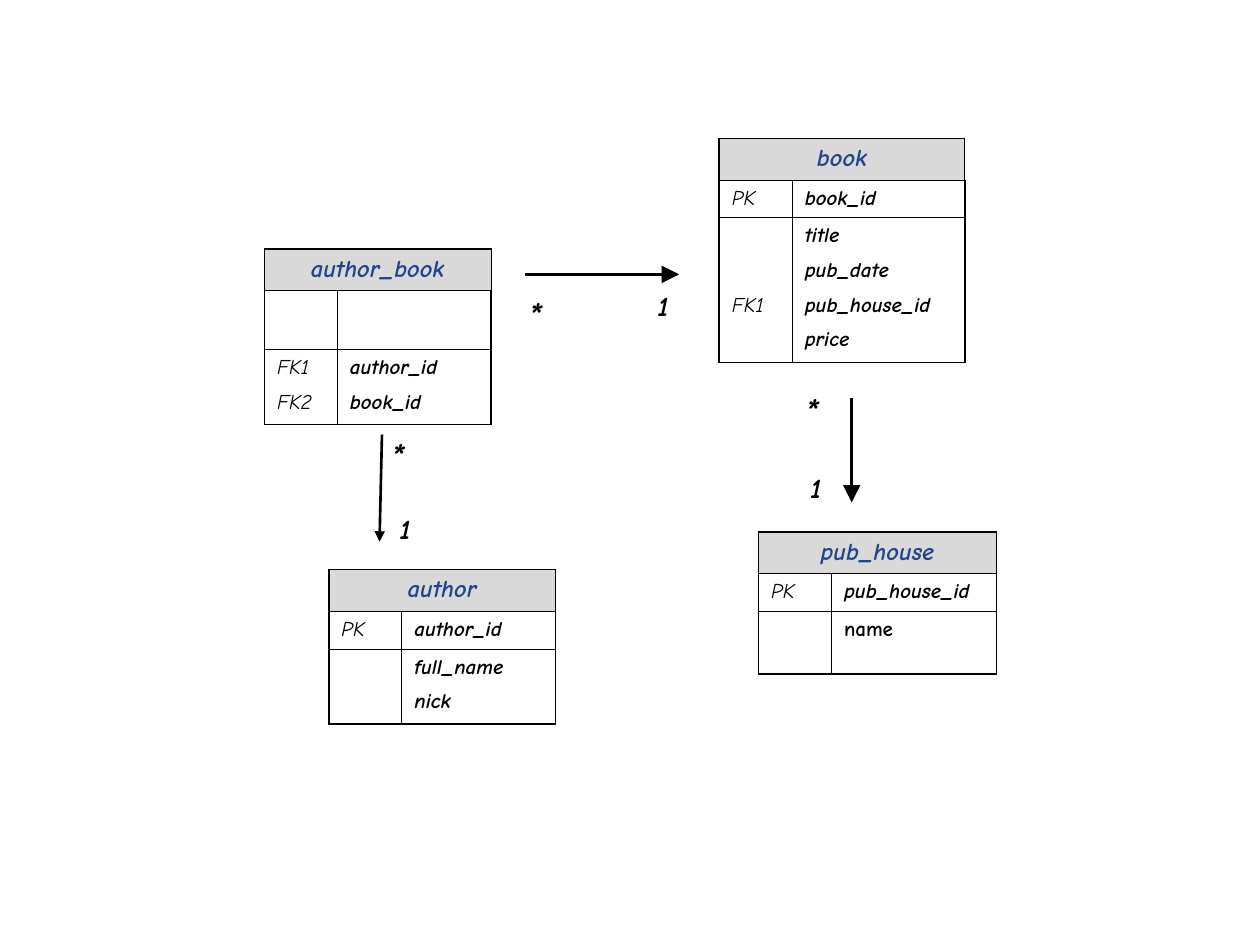
from dataclasses import dataclass

from lxml import etree
from pptx import Presentation
from pptx import util as u
from pptx.dml.color import RGBColor
from pptx.enum import shapes, text
from pptx.oxml import ns

BLACK = RGBColor(0x00, 0x00, 0x00)
BLUE = RGBColor(0x22, 0x45, 0x8B)
GREY = RGBColor(0xD9, 0xD9, 0xD9)
FONT = "Comic Neue"
KEY_WIDTH = 1.47
HEADER_HEIGHT = 0.84
OUTER, INNER = 1.08, 0.45
CELL_MARGIN = 0.13
LINE_PITCH = 0.7


@dataclass(frozen=True)
class Entity:
    """A database table; lengths in centimetres."""
    name: str
    left: float
    top: float
    field_width: float
    primary_height: float
    fields_height: float
    primary_key: str
    fields: tuple[str, ...]
    foreign_keys: tuple[str, ...] = ()
    first_foreign_row: int = 0
    italic_fields: bool = True


@dataclass(frozen=True)
class Arrow:
    start: tuple[float, float]
    end: tuple[float, float]
    head: str


@dataclass(frozen=True)
class Multiplicity:
    symbol: str
    left: float
    top: float


ENTITIES = [
    Entity("author_book", 5.33, 5.02, 3.1, 1.18, 1.52, "",
           ("author_id", "book_id"), ("FK1", "FK2")),
    Entity("book", 14.5, 2.79, 3.48, 0.76, 2.92, "book_id",
           ("title", "pub_date", "pub_house_id", "price"), ("FK1",), 2),
    Entity("author", 6.63, 11.48, 3.1, 0.76, 1.52, "author_id",
           ("full_name", "nick")),
    Entity("pub_house", 15.29, 10.72, 3.33, 0.76, 1.27, "pub_house_id",
           ("name",), italic_fields=False),
]
ARROWS = [
    Arrow((7.7, 8.76), (7.65, 10.92), "med"),
    Arrow((10.59, 5.53), (13.69, 5.53), "lg"),
    Arrow((17.17, 8.03), (17.17, 10.13), "lg"),
]
MULTIPLICITIES = [
    Multiplicity("*", 9.91, 5.79),
    Multiplicity("1", 13.0, 5.69),
    Multiplicity("*", 7.14, 8.64),
    Multiplicity("*", 15.49, 7.72),
    Multiplicity("1", 7.8, 10.19),
    Multiplicity("1", 16.08, 9.37),
]


def format_font(paragraph, size: float, color: RGBColor = BLACK,
                bold: bool = True, italic: bool = True) -> None:
    font = paragraph.font
    font.name = FONT
    font.size = u.Pt(size)
    font.bold = bold
    font.italic = italic
    font.color.rgb = color


def set_borders(cell, row: int, column: int) -> None:
    """Draw a thick outer frame and thin inner rules on a 3 by 2 grid."""
    properties = cell._tc.get_or_add_tcPr()
    outer_sides = {"L": column == 0, "R": column == 1, "T": row == 0, "B": row == 2}
    for side, is_outer in outer_sides.items():
        width = u.Pt(OUTER if is_outer else INNER)
        line = etree.SubElement(properties, ns.qn(f"a:ln{side}"), w=str(width))
        fill = etree.SubElement(line, ns.qn("a:solidFill"))
        etree.SubElement(fill, ns.qn("a:srgbClr"), val=str(BLACK))


def write_lines(cell, lines: tuple[str, ...], bold: bool = True,
                italic: bool = True) -> None:
    for index, line in enumerate(lines):
        frame = cell.text_frame
        paragraph = frame.add_paragraph() if index else frame.paragraphs[0]
        paragraph.text = line
        if index:
            paragraph.space_before = u.Pt(3)
        if len(lines) > 1:
            paragraph.space_after = u.Pt(3)
        format_font(paragraph, 12, bold=bold, italic=italic)


def draw_entity(slide, entity: Entity) -> None:
    heights = (HEADER_HEIGHT, entity.primary_height, entity.fields_height)
    widths = (KEY_WIDTH, entity.field_width)
    table = slide.shapes.add_table(
        3, 2, u.Cm(entity.left), u.Cm(entity.top),
        u.Cm(sum(widths)), u.Cm(sum(heights))).table
    table.first_row = table.horz_banding = False
    for column, width in zip(table.columns, widths):
        column.width = u.Cm(width)
    for row_index, height in enumerate(heights):
        table.rows[row_index].height = u.Cm(height)
        for column_index in range(2):
            cell = table.cell(row_index, column_index)
            set_borders(cell, row_index, column_index)
            if row_index == 0:
                cell.fill.solid()
                cell.fill.fore_color.rgb = GREY
            else:
                cell.fill.background()

    header = table.cell(0, 0)
    header.merge(table.cell(0, 1))
    title = header.text_frame.paragraphs[0]
    title.text = entity.name
    title.alignment = text.PP_ALIGN.CENTER
    format_font(title, 14, BLUE)

    if entity.primary_key:
        write_lines(table.cell(1, 0), ("PK",), bold=False)
        write_lines(table.cell(1, 1), (entity.primary_key,))
    key_cell = table.cell(2, 0)
    key_cell.margin_top = u.Cm(CELL_MARGIN + entity.first_foreign_row * LINE_PITCH)
    write_lines(key_cell, entity.foreign_keys, bold=False)
    write_lines(table.cell(2, 1), entity.fields, italic=entity.italic_fields)


def draw_arrow(slide, arrow: Arrow) -> None:
    connector = slide.shapes.add_connector(
        shapes.MSO_CONNECTOR.STRAIGHT, *map(u.Cm, arrow.start + arrow.end))
    connector.line.color.rgb = BLACK
    connector.line.width = u.Pt(1.5)
    etree.SubElement(connector.line._get_or_add_ln(), ns.qn("a:tailEnd"),
                     type="triangle", w=arrow.head, len=arrow.head)
    etree.SubElement(connector._element.spPr, ns.qn("a:effectLst"))


def draw_multiplicity(slide, label: Multiplicity) -> None:
    is_many = label.symbol == "*"
    width, height, size = (1.75, 1.12, 20) if is_many else (0.74, 0.94, 16)
    box = slide.shapes.add_textbox(
        u.Cm(label.left), u.Cm(label.top), u.Cm(width), u.Cm(height))
    frame = box.text_frame
    frame.word_wrap = is_many
    frame.auto_size = text.MSO_AUTO_SIZE.SHAPE_TO_FIT_TEXT
    paragraph = frame.paragraphs[0]
    paragraph.text = label.symbol
    paragraph.alignment = text.PP_ALIGN.CENTER
    format_font(paragraph, size)


def main() -> None:
    presentation = Presentation()
    presentation.slide_width = u.Cm(25.4)
    presentation.slide_height = u.Cm(19.05)
    slide = presentation.slides.add_slide(presentation.slide_layouts[6])
    for entity in ENTITIES:
        draw_entity(slide, entity)
    for arrow in ARROWS:
        draw_arrow(slide, arrow)
    for label in MULTIPLICITIES:
        draw_multiplicity(slide, label)
    presentation.save("out.pptx")


if __name__ == "__main__":
    main()
